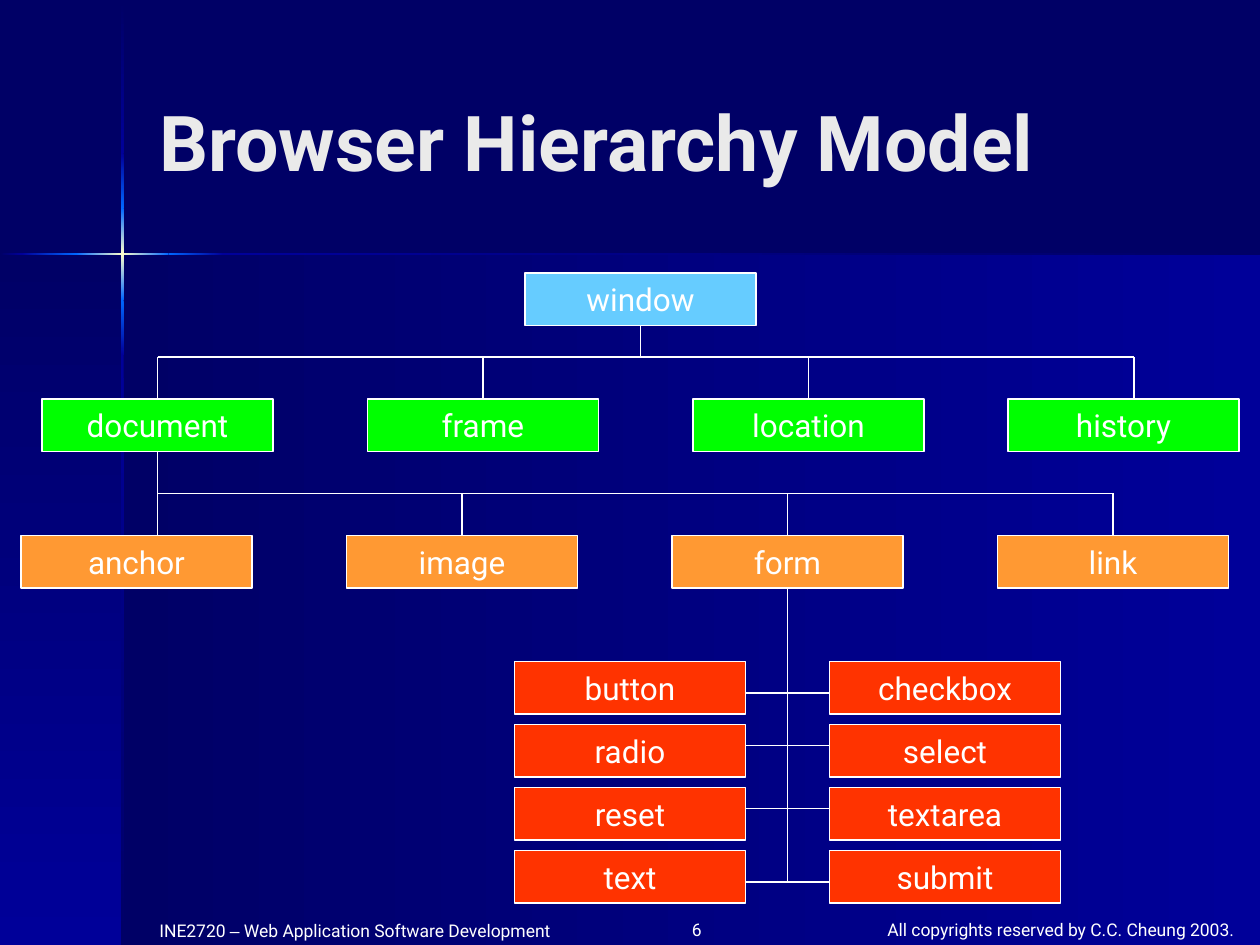
from copy import deepcopy

from lxml import etree
from pptx import Presentation
from pptx.dml.color import RGBColor
from pptx.enum.shapes import MSO_CONNECTOR, MSO_SHAPE
from pptx.enum.text import MSO_ANCHOR, PP_ALIGN
from pptx.oxml.ns import qn
from pptx.util import Inches, Pt

RECTANGLE = MSO_SHAPE.RECTANGLE
STRAIGHT = MSO_CONNECTOR.STRAIGHT
TOP, MIDDLE = MSO_ANCHOR.TOP, MSO_ANCHOR.MIDDLE
LEFT, CENTER, RIGHT = PP_ALIGN.LEFT, PP_ALIGN.CENTER, PP_ALIGN.RIGHT
TOP_SIDE, BOTTOM_SIDE = 0, 2

COLUMNS, ROWS = 120, 90
BOX_WIDTH, BOX_HEIGHT = 22, 5
CROSS_COLUMN, CROSS_ROW = 11.66, 24.2
GLOW, FADE, BEAM = 4.4, 9.6, 0.24


def grid(units):
    return Inches(units / 12)


def color(code):
    return RGBColor.from_string(code)


class HierarchySlide:
    font = "Roboto"
    white = "FFFFFF"
    navy, blue, bright, spark = "000066", "000099", "0066FF", "FFFFCC"
    line_width = Pt(0.75)

    def __init__(self, deck):
        self.page = deck.slides.add_slide(deck.slide_layouts[6])
        self.page.background.fill.solid()
        self.page.background.fill.fore_color.rgb = color(self.navy)

    def rectangle(self, left, top, width, height):
        shape = self.page.shapes.add_shape(
            RECTANGLE, grid(left), grid(top), grid(width), grid(height))
        shape.shadow.inherit = False
        return shape

    def gradient(self, left, top, width, height, codes, vertical=False):
        shape = self.rectangle(left, top, width, height)
        shape.line.fill.background()
        shape.fill.gradient()
        shape.fill.gradient_angle = 270 if vertical else 0
        stop_list = shape._element.spPr.find(".//" + qn("a:gsLst"))
        while len(stop_list) < len(codes):
            stop_list.append(deepcopy(stop_list[-1]))
        for index, (stop, code) in enumerate(zip(shape.fill.gradient_stops, codes)):
            stop.position = index / (len(codes) - 1)
            stop.color.rgb = color(code)

    def beam(self, center, across, end, vertical):
        marks = [0, center - FADE, center - GLOW, center + GLOW, center + FADE, end]
        fades = [(self.navy, self.blue), (self.blue, self.bright),
                 (self.bright, self.spark, self.bright),
                 (self.bright, self.blue), (self.blue, self.navy)]
        for start, stop, codes in zip(marks, marks[1:], fades):
            start = max(start, 0)
            side = across - BEAM / 2
            place = ((side, start, BEAM, stop - start) if vertical
                     else (start, side, stop - start, BEAM))
            self.gradient(*place, codes, vertical)

    def style(self, span, size, code, bold=False):
        span.font.name = self.font
        span.font.size = Pt(size)
        span.font.bold = bold
        span.font.color.rgb = color(code)

    def text(self, left, top, width, height, words, size=10, code=white,
             align=LEFT, anchor=TOP, bold=False):
        box = self.page.shapes.add_textbox(
            grid(left), grid(top), grid(width), grid(height))
        frame = box.text_frame
        frame.word_wrap = True
        frame.vertical_anchor = anchor
        para = frame.paragraphs[0]
        para.alignment = align
        for part in words:
            span = para.add_run()
            span.text = part
            self.style(span, size, code, bold)
        return para

    def node(self, name, column, row, code):
        box = self.rectangle(column, row, BOX_WIDTH, BOX_HEIGHT)
        box.fill.solid()
        box.fill.fore_color.rgb = color(code)
        box.line.color.rgb = color(self.white)
        box.line.width = self.line_width
        frame = box.text_frame
        frame.text = name
        frame.word_wrap = False
        frame.vertical_anchor = MIDDLE
        para = frame.paragraphs[0]
        para.alignment = CENTER
        self.style(para.runs[0], 18, self.white)
        return box

    def nodes(self, names, columns, row, code):
        return [self.node(name, column, row, code)
                for name, column in zip(names, columns)]

    def line(self, start, end, parent=None, child=None):
        link = self.page.shapes.add_connector(
            STRAIGHT, *(grid(units) for units in (*start, *end)))
        link.line.color.rgb = color(self.white)
        link.line.width = self.line_width
        etree.SubElement(link._element.spPr, qn("a:effectLst"))
        if parent is not None:
            link.begin_connect(parent, BOTTOM_SIDE)
        if child is not None:
            link.end_connect(child, TOP_SIDE)

    def branches(self, row, columns, boxes, box_columns, box_row):
        self.line((columns[0], row), (columns[-1], row))
        for column, box, left in zip(columns, boxes, box_columns):
            centered = column == left + BOX_WIDTH / 2
            self.line((column, row), (column, box_row),
                      child=box if centered else None)


def main():
    deck = Presentation()
    deck.slide_width, deck.slide_height = grid(COLUMNS), grid(ROWS)
    slide = HierarchySlide(deck)

    panel_fade = (slide.navy, slide.blue)
    slide.gradient(CROSS_COLUMN, CROSS_ROW, COLUMNS - CROSS_COLUMN,
                   ROWS - CROSS_ROW, panel_fade)
    slide.gradient(0, CROSS_ROW, CROSS_COLUMN, ROWS - CROSS_ROW, panel_fade, True)
    slide.beam(CROSS_ROW, CROSS_COLUMN, ROWS, True)
    slide.beam(CROSS_COLUMN, CROSS_ROW, COLUMNS, False)

    course = slide.text(14, 87, 40, 3,
                        ["INE2720 ", "–", " Web Application Software Development"])
    course.runs[1].font.name = "Arial"
    slide.text(82, 86.9, 38, 3.1, ["All copyrights reserved by C.C. Cheung 2003."],
               align=CENTER)
    slide.text(60, 86.9, 8, 3.1, ["6"], align=RIGHT)
    slide.text(14, 4, 99, 18.8, ["Browser Hierarchy Model"], 44, "EAEAEA",
               anchor=MIDDLE, bold=True)

    object_columns, object_row = [4, 35, 66, 96], 38
    element_columns, element_row = [2, 33, 64, 95], 51
    window = slide.node("window", 50, 26, "66CCFF")
    objects = slide.nodes(["document", "frame", "location", "history"],
                          object_columns, object_row, "00FF00")
    elements = slide.nodes(["anchor", "image", "form", "link"],
                           element_columns, element_row, "FF9933")
    controls = [("button", "checkbox"), ("radio", "select"),
                ("reset", "textarea"), ("text", "submit")]
    for index, pair in enumerate(controls):
        slide.nodes(pair, [49, 79], 63 + 6 * index, "FF3300")

    slide.line((61, 31), (61, 34), parent=window)
    slide.branches(34, [15, 46, 77, 108], objects, object_columns, object_row)
    slide.line((15, 43), (15, 47), parent=objects[0])
    slide.branches(47, [15, 44, 75, 106], elements, element_columns, element_row)
    slide.line((75, 56), (75, 84), parent=elements[2])
    for row in (66, 71, 77, 84):
        slide.line((71, row), (79, row))

    deck.save("out.pptx")


if __name__ == "__main__":
    main()
